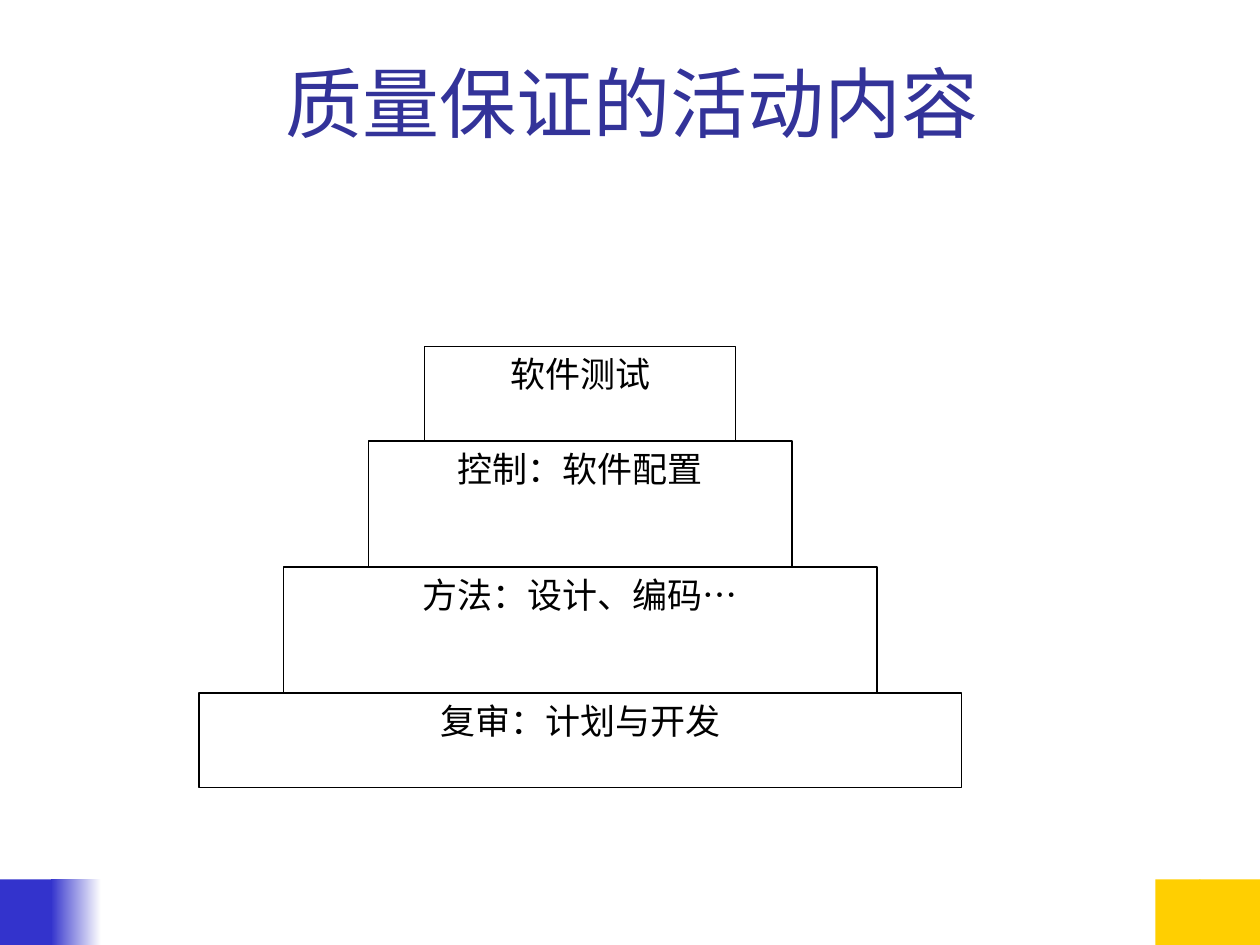
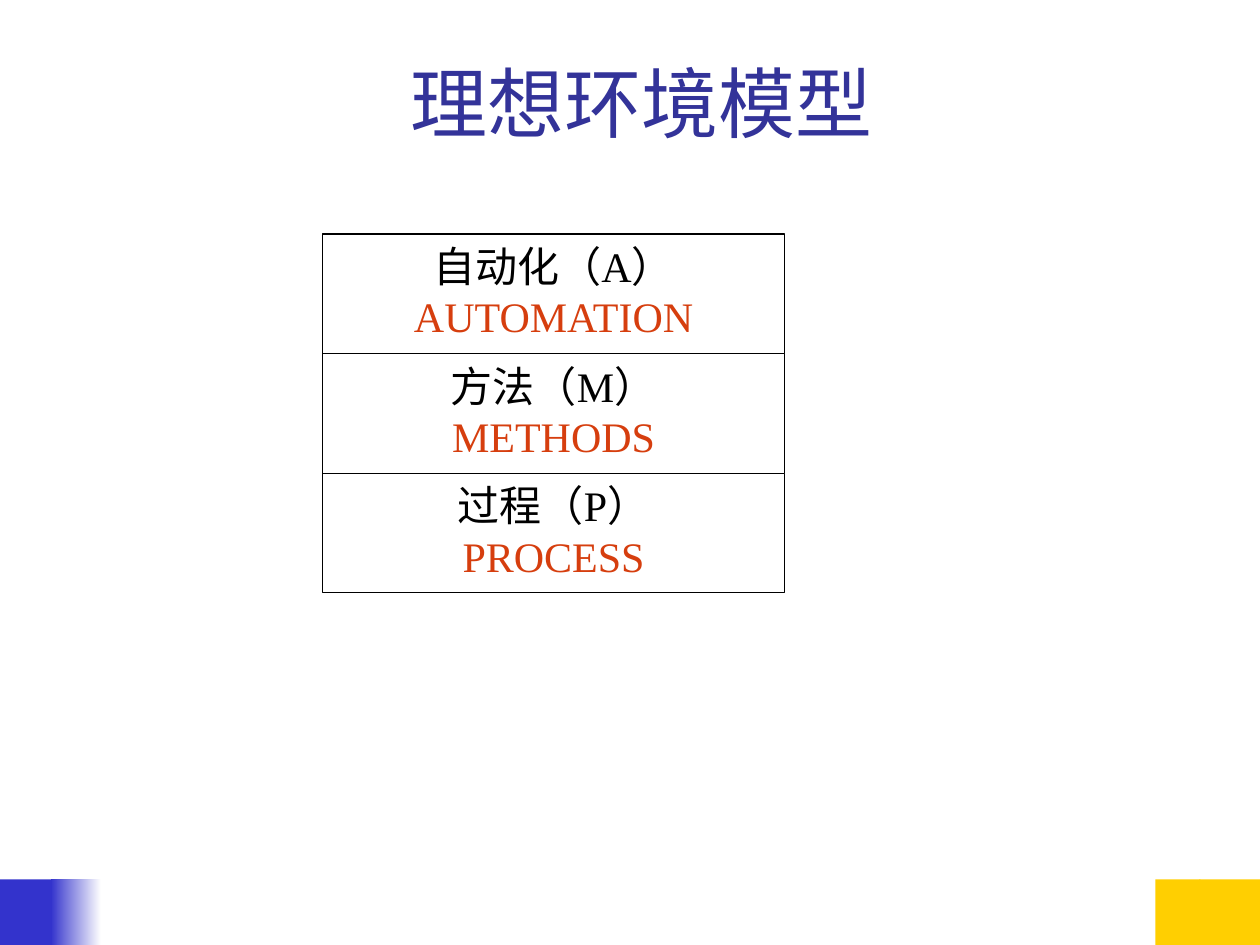
from dataclasses import dataclass

import pptx
import pptx.dml.color
import pptx.enum.shapes
import pptx.enum.text
import pptx.shapes.autoshape
import pptx.slide
import pptx.util

Cm = pptx.util.Cm
Pt = pptx.util.Pt
RGBColor = pptx.dml.color.RGBColor
ALIGN = pptx.enum.text.PP_ALIGN
ANCHOR = pptx.enum.text.MSO_ANCHOR
RECTANGLE = pptx.enum.shapes.MSO_SHAPE.RECTANGLE

WHITE = RGBColor(0xFF, 0xFF, 0xFF)
BLACK = RGBColor(0x00, 0x00, 0x00)
YELLOW = RGBColor(0xFF, 0xCF, 0x01)
BLUE = RGBColor(0x33, 0x33, 0xCC)
TITLE_BLUE = RGBColor(0x33, 0x33, 0x99)
ORANGE = RGBColor(0xD6, 0x3E, 0x0E)

TITLE_FONT = {"name": "Lato", "size": Pt(44)}
STEP_FONT = {"name": "Times New Roman", "size": Pt(20)}
LAYER_FONT = {"name": "Times New Roman", "size": Pt(24)}
FRAME_FORMAT = {
    "word_wrap": True,
    "margin_left": Cm(0.25),
    "margin_right": Cm(0.25),
    "margin_top": Cm(0.13),
    "margin_bottom": Cm(0.13),
}

BAND_TOP, BAND_HEIGHT = Cm(17.73), Cm(1.32)
PYRAMID_CENTRE, PYRAMID_TOP = Cm(11.7), Cm(6.98)
STACK_LEFT, STACK_TOP = Cm(6.5), Cm(4.72)
LAYER_WIDTH, LAYER_HEIGHT = Cm(9.32), Cm(2.41)


@dataclass(frozen=True)
class Band:
    left: float
    width: float
    color: RGBColor
    fades: bool = False


@dataclass(frozen=True)
class Line:
    text: str
    color: RGBColor = BLACK


@dataclass(frozen=True)
class Step:
    label: str
    width: float
    height: float


@dataclass(frozen=True)
class Layer:
    chinese: str
    english: str


BANDS = [
    Band(24.18, 1.22, YELLOW),
    Band(23.29, 0.91, YELLOW),
    Band(0, 1.17, BLUE),
    Band(1.02, 1.02, BLUE, fades=True),
]
PYRAMID = [
    Step("软件测试", 6.27, 1.91),
    Step("控制：软件配置", 8.53, 2.54),
    Step("方法：设计、编码…", 11.96, 2.54),
    Step("复审：计划与开发", 15.37, 1.91),
]
STACK = [
    Layer("自动化（A）", "AUTOMATION"),
    Layer("方法（M）", "METHODS"),
    Layer("过程（P）", "PROCESS"),
]


def apply_format(target: object, values: dict) -> None:
    for attribute, value in values.items():
        setattr(target, attribute, value)


def write_lines(shape: pptx.shapes.autoshape.Shape, lines: list[Line],
                font: dict, anchor: ANCHOR) -> None:
    frame = shape.text_frame
    apply_format(frame, FRAME_FORMAT | {"vertical_anchor": anchor})
    for index, line in enumerate(lines):
        paragraph = frame.add_paragraph() if index else frame.paragraphs[0]
        paragraph.alignment = ALIGN.CENTER
        run = paragraph.add_run()
        run.text = line.text
        apply_format(run.font, font)
        run.font.color.rgb = line.color


def add_rectangle(slide: pptx.slide.Slide, left: int, top: int, width: int,
                  height: int, color: RGBColor) -> pptx.shapes.autoshape.Shape:
    rectangle = slide.shapes.add_shape(RECTANGLE, left, top, width, height)
    rectangle.shadow.inherit = False
    rectangle.fill.solid()
    rectangle.fill.fore_color.rgb = color
    rectangle.line.fill.background()
    return rectangle


def add_block(slide: pptx.slide.Slide, left: int, top: int, width: int,
              height: int, lines: list[Line], font: dict) -> None:
    """Draw a white, black-edged box with its text at the top."""
    block = add_rectangle(slide, left, top, width, height, WHITE)
    block.line.color.rgb = BLACK
    block.line.width = Pt(0.75)
    write_lines(block, lines, font, ANCHOR.TOP)


def add_band(slide: pptx.slide.Slide, band: Band) -> None:
    strip = add_rectangle(slide, Cm(band.left), BAND_TOP, Cm(band.width),
                          BAND_HEIGHT, band.color)
    if band.fades:
        strip.fill.gradient()
        strip.fill.gradient_angle = 180
        for stop, color in zip(strip.fill.gradient_stops, (WHITE, band.color)):
            stop.color.rgb = color


def add_titled_slide(deck: pptx.presentation.Presentation,
                     title: str) -> pptx.slide.Slide:
    slide = deck.slides.add_slide(deck.slide_layouts[6])
    for band in BANDS:
        add_band(slide, band)
    heading = slide.shapes.add_textbox(Cm(2.11), Cm(0.71), Cm(21.64), Cm(2.41))
    write_lines(heading, [Line(title, TITLE_BLUE)], TITLE_FONT, ANCHOR.BOTTOM)
    return slide


def build_activities(deck: pptx.presentation.Presentation) -> None:
    slide = add_titled_slide(deck, "质量保证的活动内容 ")
    top = PYRAMID_TOP
    for step in PYRAMID:
        width, height = Cm(step.width), Cm(step.height)
        add_block(slide, PYRAMID_CENTRE - width // 2, top, width, height,
                  [Line(step.label)], STEP_FONT)
        top += height


def build_environment_model(deck: pptx.presentation.Presentation) -> None:
    slide = add_titled_slide(deck, "理想环境模型")
    for row, layer in enumerate(STACK):
        add_block(slide, STACK_LEFT, STACK_TOP + row * LAYER_HEIGHT,
                  LAYER_WIDTH, LAYER_HEIGHT,
                  [Line(layer.chinese), Line(layer.english, ORANGE)], LAYER_FONT)


def main() -> None:
    deck = pptx.Presentation()
    deck.slide_width, deck.slide_height = Cm(25.4), Cm(19.05)
    build_activities(deck)
    build_environment_model(deck)
    deck.save("out.pptx")


if __name__ == "__main__":
    main()
